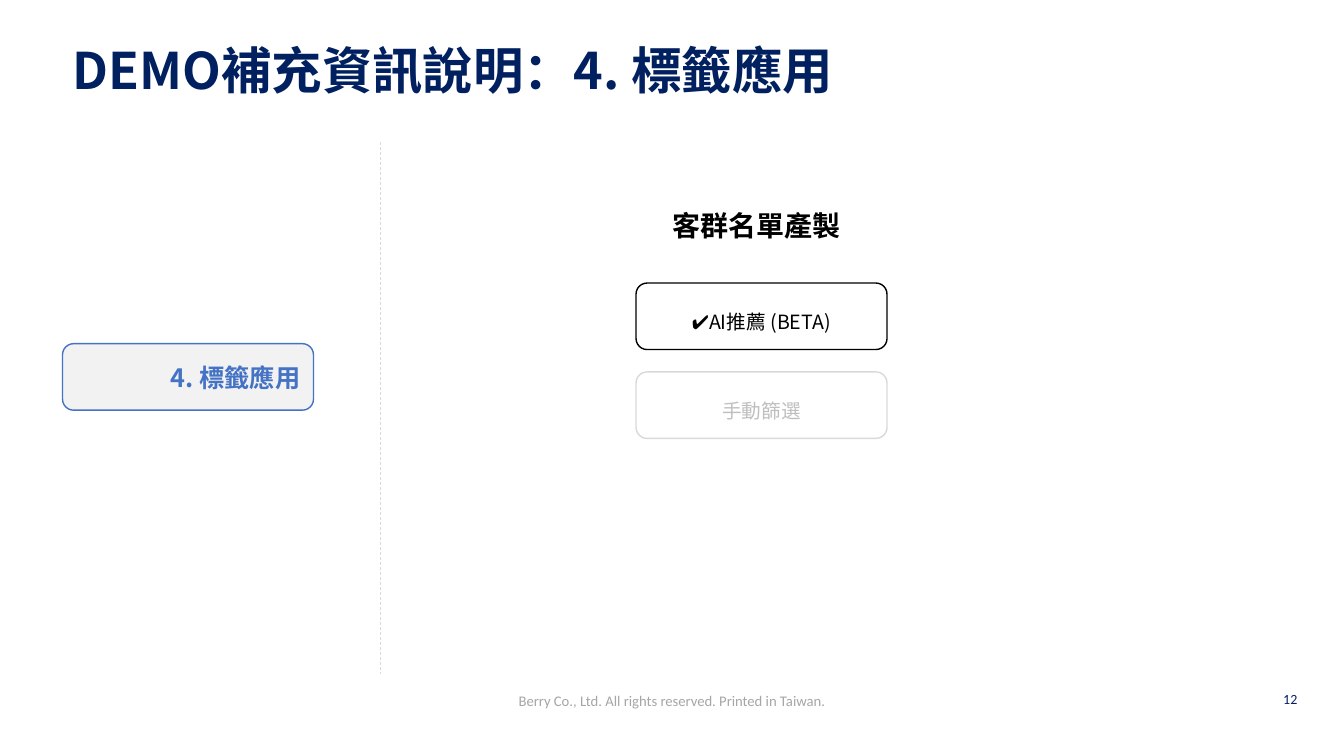
"""Build the slide on tag application and customer list generation."""
from lxml.etree import SubElement
from pptx import Presentation
from pptx.dml.color import RGBColor
from pptx.enum.dml import MSO_LINE
from pptx.enum.shapes import MSO_CONNECTOR, MSO_SHAPE
from pptx.enum.text import MSO_ANCHOR, PP_ALIGN
from pptx.oxml.ns import qn
from pptx.util import Pt

BLACK = RGBColor(0x00, 0x00, 0x00)
WHITE = RGBColor(0xFF, 0xFF, 0xFF)
NAVY = RGBColor(0x00, 0x20, 0x60)
PAGE_NAVY = RGBColor(0x06, 0x1D, 0x61)
BLUE = RGBColor(0x44, 0x72, 0xC4)
PALE = RGBColor(0xF2, 0xF2, 0xF2)
RULE_GREY = RGBColor(0xD9, 0xD9, 0xD9)
MUTED = RGBColor(0xBF, 0xBF, 0xBF)
FOOTER_GREY = RGBColor(0xA6, 0xA6, 0xA6)
LATIN, HAN = "Calibri", "Noto Sans CJK TC"

SLIDE_W, SLIDE_H = 960, 540
MARGIN = 44.64
CARD_W, CARD_H, CARD_PITCH = 179.28, 47.52, 63.5
CARDS_LEFT, CARDS_TOP = 454.32, 202.2
DIVIDER_X, DIVIDER_TOP, DIVIDER_BOTTOM = 271.44, 101.5, 481.7

TAG_STEP = "4. 標籤應用"
CARDS = [
    ("✔︎AI推薦 (BETA)", BLACK, BLACK),
    ("手動篩選", MUTED, RULE_GREY),
]
TEXTS = [
    ("12", (891.36, 493.92, 35.28, 11.52), 0, MSO_ANCHOR.BOTTOM,
     {"alignment": PP_ALIGN.RIGHT},
     {"name": LATIN, "size": Pt(10)}, PAGE_NAVY),
    ("Berry Co., Ltd. All rights reserved. Printed in Taiwan.",
     (0, 491.76, SLIDE_W, 14.4), 0, MSO_ANCHOR.MIDDLE,
     {"alignment": PP_ALIGN.CENTER, "line_spacing": 1.2},
     {"name": LATIN, "size": Pt(10.5)}, FOOTER_GREY),
    ("DEMO補充資訊說明：" + TAG_STEP, (MARGIN, 23.04, 870.48, 58.32), 1,
     MSO_ANCHOR.MIDDLE, {"line_spacing": 0.9},
     {"name": HAN, "size": Pt(36), "bold": True}, NAVY),
    ("客群名單產製", (CARDS_LEFT, 145.44, 172.08, 31.68), 1, MSO_ANCHOR.TOP,
     {"alignment": PP_ALIGN.CENTER},
     {"name": HAN, "size": Pt(20), "bold": True}, BLACK),
]


def apply(target, values):
    for key, value in values.items():
        setattr(target, key, value)


def write(shape, words, inset, anchor, layout, face, color):
    frame = shape.text_frame
    apply(frame, {
        "word_wrap": True, "vertical_anchor": anchor,
        "margin_left": Pt(7.2 * inset), "margin_right": Pt(7.2 * inset),
        "margin_top": Pt(3.6 * inset), "margin_bottom": Pt(3.6 * inset),
    })
    paragraph = frame.paragraphs[0]
    apply(paragraph, layout)
    run = paragraph.add_run()
    run.text = words
    apply(run.font, face)
    run.font.color.rgb = color
    SubElement(run.font._element, qn("a:ea"), typeface=face["name"])


def add_card(slide, left, top, fill, border):
    card = slide.shapes.add_shape(MSO_SHAPE.ROUNDED_RECTANGLE,
                                  Pt(left), Pt(top), Pt(CARD_W), Pt(CARD_H))
    card.shadow.inherit = False
    card.fill.solid()
    card.fill.fore_color.rgb = fill
    card.line.color.rgb = border
    card.line.width = Pt(1)
    return card


def main():
    deck = Presentation()
    apply(deck, {"slide_width": Pt(SLIDE_W), "slide_height": Pt(SLIDE_H)})
    slide = deck.slides.add_slide(deck.slide_layouts[6])

    for words, place, *style in TEXTS:
        write(slide.shapes.add_textbox(*map(Pt, place)), words, *style)

    divider = slide.shapes.add_connector(
        MSO_CONNECTOR.STRAIGHT, Pt(DIVIDER_X), Pt(DIVIDER_TOP),
        Pt(DIVIDER_X), Pt(DIVIDER_BOTTOM))
    divider.line.color.rgb = RULE_GREY
    apply(divider.line, {"width": Pt(0.5), "dash_style": MSO_LINE.DASH})
    SubElement(divider._element.spPr, qn("a:effectLst"))

    step = add_card(slide, MARGIN, 245.52, PALE, BLUE)
    write(step, TAG_STEP, 1, MSO_ANCHOR.MIDDLE, {"alignment": PP_ALIGN.RIGHT},
          {"name": HAN, "size": Pt(18), "bold": True}, BLUE)

    for row, (words, ink, border) in enumerate(CARDS):
        card = add_card(slide, CARDS_LEFT, CARDS_TOP + row * CARD_PITCH,
                        WHITE, border)
        write(card, words, 1, MSO_ANCHOR.MIDDLE,
              {"alignment": PP_ALIGN.CENTER, "line_spacing": 1.5},
              {"name": HAN, "size": Pt(14)}, ink)

    deck.save("out.pptx")


if __name__ == "__main__":
    main()
